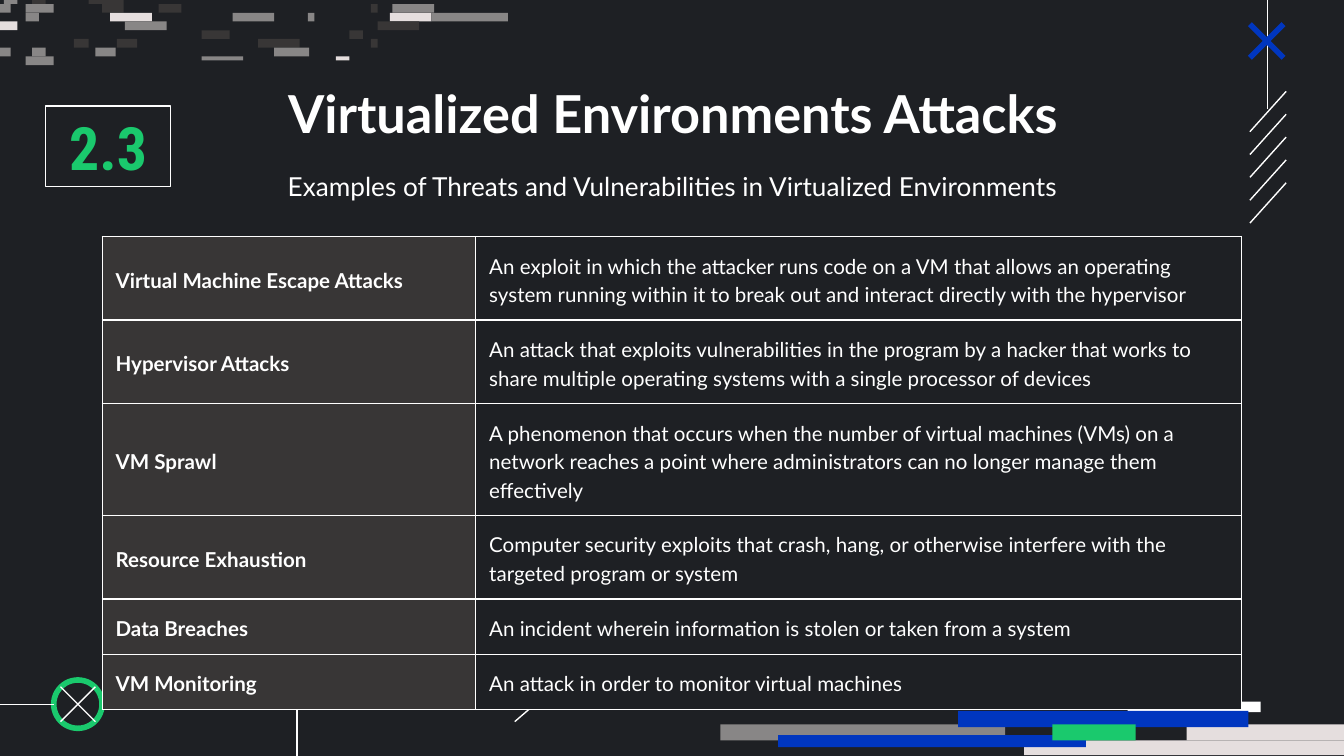
"""Build the slide on attacks against virtualized environments."""
from lxml import etree
from pptx import Presentation
from pptx import util as u
from pptx.dml.color import RGBColor
from pptx.enum import shapes, text
from pptx.oxml.ns import qn

BG, DARK, GREY, PALE = "1E2024", "383636", "888686", "E5DEDE"
WHITE, BLUE, GREEN = "FFFFFF", "0036BF", "1AC96D"
SLIDE_W, SLIDE_H = 10, 5 + 5 / 8
PIXEL_TOP, PIXEL_H = 0.03, 0.065

PIXELS = {
    -1: [(0.03, 0.1, GREY), (0.24, 0.1, DARK), (0.66, 0.26, DARK)],
    0: [(0, 0.08, GREY), (0.19, 0.21, GREY), (0.76, 0.16, DARK), (1.18, 0.17, DARK),
        (2.76, 0.05, DARK), (2.92, 0.31, GREY)],
    1: [(0.19, 0.1, GREY), (0.82, 0.31, PALE), (1.73, 0.31, GREY), (2.29, 0.05, GREY),
        (2.9, 0.31, PALE), (3.21, 0.57, GREY)],
    2: [(0, 0.13, PALE), (0.93, 0.31, GREY), (2.81, 0.31, DARK)],
    3: [(1.5, 0.21, DARK), (2.6, 0.1, DARK)],
    4: [(0.55, 0.11, DARK), (0.87, 0.15, DARK), (1.92, 0.31, DARK), (2.76, 0.05, DARK)],
    5: [(0, 0.08, GREY), (0.24, 0.1, GREY), (0.71, 0.15, GREY), (2.04, 0.26, GREY)],
    6: [(0.19, 0.21, GREY), (1.5, 0.31, GREY), (2.5, 0.1, PALE)],
}
BARS = [
    (5.36, 5.39, 2.12, 0.12, GREY), (8.83, 5.39, 1.17, 0.12, PALE),
    (8.39, 5.22, 0.99, 0.08, WHITE), (7.62, 5.51, 2.38, 0.11, PALE),
    (5.79, 5.47, 2.29, 0.09, BLUE), (7.13, 5.29, 2.16, 0.12, BLUE),
    (7.83, 5.39, 0.62, 0.12, GREEN),
]
THREATS = [
    ("Virtual Machine Escape Attacks", "An exploit in which the attacker runs code on a VM that allows "
     "an operating system running within it to break out and interact directly with the hypervisor", 0.4),
    ("Hypervisor Attacks", "An attack that exploits vulnerabilities in the program by a hacker that works "
     "to share multiple operating systems with a single processor of devices", 0.4),
    ("VM Sprawl", "A phenomenon that occurs when the number of virtual machines (VMs) on a network "
     "reaches a point where administrators can no longer manage them effectively", 0.38),
    ("Resource Exhaustion", "Computer security exploits that crash, hang, or otherwise interfere with "
     "the targeted program or system", 0.38),
    ("Data Breaches", "An incident wherein information is stolen or taken from a system", 0.4),
    ("VM Monitoring", "An attack in order to monitor virtual machines", 0.38),
]


def rgb(value):
    """Return the colour for a hex string."""
    return RGBColor.from_string(value)


def box(*lengths):
    """Return the lengths, given in inches, as a list."""
    return [u.Inches(n) for n in lengths]


def write(tf, content, size=11, color=WHITE, font="Lato", bold=False,
          align=None, spacing=1.15, after=None, anchor=text.MSO_ANCHOR.TOP):
    """Fill a text frame with one formatted paragraph."""
    tf.word_wrap = True
    tf.vertical_anchor = anchor
    tf.margin_left = tf.margin_right = tf.margin_top = tf.margin_bottom = u.Inches(0.1)
    p = tf.paragraphs[0]
    p.alignment, p.line_spacing = align, spacing
    if after is not None:
        p.space_after = u.Pt(after)
    r = p.add_run()
    r.text = content
    r.font.name, r.font.size, r.font.bold = font, u.Pt(size), bold
    r.font.color.rgb = rgb(color)


def shape(s, kind, at, fill=None, line=None, width=0.75):
    """Add a preset shape with an optional fill and outline."""
    sp = s.shapes.add_shape(kind, *box(*at))
    sp.shadow.inherit = False
    if fill:
        sp.fill.solid()
        sp.fill.fore_color.rgb = rgb(fill)
    else:
        sp.fill.background()
    if line:
        sp.line.color.rgb = rgb(line)
        sp.line.width = u.Pt(width)
    else:
        sp.line.fill.background()
    return sp


def line(s, x1, y1, x2, y2, color=WHITE, width=0.75):
    """Add a straight line without a shadow."""
    c = s.shapes.add_connector(shapes.MSO_CONNECTOR.STRAIGHT, *box(x1, y1, x2, y2))
    c.line.color.rgb = rgb(color)
    c.line.width = u.Pt(width)
    etree.SubElement(c._element.spPr, qn("a:effectLst"))


def cross(s, left, top, side, **style):
    """Add two crossing diagonals of a square."""
    line(s, left + side, top, left, top + side, **style)
    line(s, left, top, left + side, top + side, **style)


def label(s, at, content, **style):
    """Add a centred text box."""
    sp = s.shapes.add_textbox(*box(*at))
    write(sp.text_frame, content, align=text.PP_ALIGN.CENTER, **style)
    return sp


def style_cell(cell, content, fill, **style):
    """Write a table cell with white borders and a fill."""
    write(cell.text_frame, content, **style)
    cell.vertical_anchor = text.MSO_ANCHOR.MIDDLE
    cell.margin_left = cell.margin_right = cell.margin_top = cell.margin_bottom = u.Inches(0.1)
    tc_pr = cell._tc.get_or_add_tcPr()
    for side in ("lnL", "lnR", "lnT", "lnB"):
        ln = etree.SubElement(tc_pr, qn(f"a:{side}"), w=str(u.Pt(0.75)))
        solid = etree.SubElement(ln, qn("a:solidFill"))
        etree.SubElement(solid, qn("a:srgbClr"), val=WHITE)
    cell.fill.solid()
    cell.fill.fore_color.rgb = rgb(fill)


def threat_table(s):
    """Add the table of threats and their descriptions."""
    frame = s.shapes.add_table(len(THREATS), 2, *box(0.76, 1.76, 8.48, 3.27))
    table = frame.table
    table.first_row = table.horz_banding = False
    for col, width in zip(table.columns, (2.78, 5.7)):
        col.width = u.Inches(width)
    for i, (name, description, h) in enumerate(THREATS):
        table.rows[i].height = u.Inches(h)
        style_cell(table.cell(i, 0), name, DARK, bold=True)
        style_cell(table.cell(i, 1), description, BG, after=16)
    frame.height = u.Inches(3.27)


def decoration(s):
    """Add the pixels, bars, lines and crosses around the edges."""
    rect = shapes.MSO_SHAPE.RECTANGLE
    for x, y, w, h, color in BARS:
        shape(s, rect, (x, y, w, h), color)
    for row, pixels in PIXELS.items():
        y = PIXEL_TOP + row * PIXEL_H
        top = max(y, 0)
        for x, w, color in pixels:
            shape(s, rect, (x, top, w, y + PIXEL_H - top), color)
    shape(s, shapes.MSO_SHAPE.OVAL, (0.4, 5.06, 0.36, 0.36), line=GREEN, width=3)
    cross(s, 0.45, 5.11, 0.26)
    line(s, 0, 5.24, 0.4, 5.24)
    line(s, 2.21, 5.24, 2.21, SLIDE_H)
    line(s, 3.98, 5.24, 3.83, 5.37)
    line(s, 9.43, 0, 9.43, 0.33)
    line(s, 9.43, 0.33, 9.43, 0.81)
    for i in range(5):
        y = 0.68 + i * 0.17
        line(s, 9.57, y, 9.3, y + 0.3)
    cross(s, 9.3, 0.18, 0.25, color=BLUE, width=3)


def main():
    """Build and save the slide."""
    prs = Presentation()
    prs.slide_width, prs.slide_height = box(SLIDE_W, SLIDE_H)
    s = prs.slides.add_slide(prs.slide_layouts[6])
    s.background.fill.solid()
    s.background.fill.fore_color.rgb = rgb(BG)
    decoration(s)
    title = label(s, (0.79, 0.45, 8.43, 0.7), "Virtualized Environments Attacks",
                  size=28, bold=True, anchor=text.MSO_ANCHOR.MIDDLE)
    title.fill.solid()
    title.fill.fore_color.rgb = rgb(BG)
    label(s, (0.79, 1.13, 8.43, 0.43),
          "Examples of Threats and Vulnerabilities in Virtualized Environments", size=14)
    threat_table(s)
    badge = shape(s, shapes.MSO_SHAPE.RECTANGLE, (0.34, 0.79, 0.93, 0.6), line=WHITE)
    write(badge.text_frame, "2.3", size=32, color=GREEN, font="Roboto Condensed", bold=True,
          align=text.PP_ALIGN.CENTER, spacing=1.0, anchor=text.MSO_ANCHOR.MIDDLE)
    prs.save("out.pptx")


if __name__ == "__main__":
    main()
